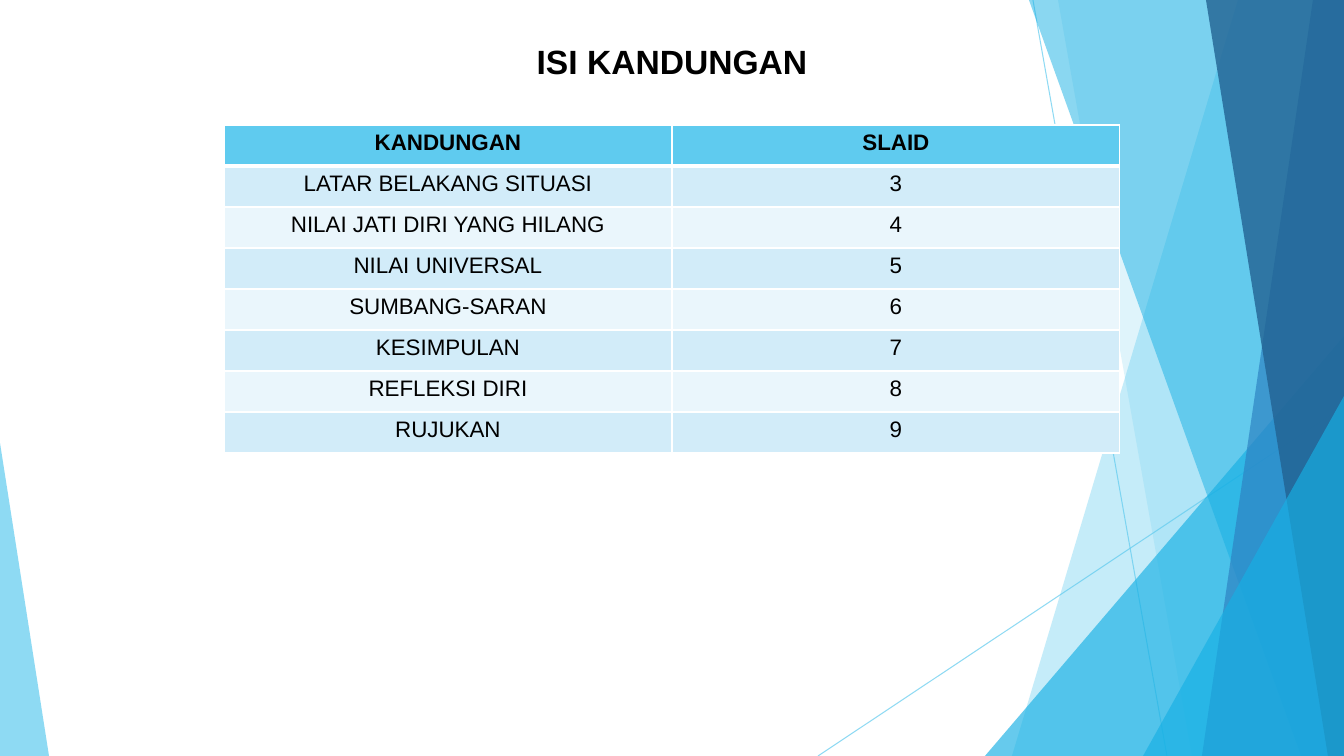
from lxml import etree
from pptx import Presentation
from pptx import util as u
from pptx.dml.color import RGBColor
from pptx.enum import shapes, text
from pptx.oxml import ns

WIDTH, HEIGHT = 1344, 756
PX = u.Inches(1) / 100.8
COLOURS = {
    "white": "FFFFFF", "black": "000000", "sky": "5FCBEF", "cyan": "17B0E4",
    "blue": "2E83C3", "navy": "226292", "band": "D2ECF9", "pale": "EAF6FC",
}


def px(length):
    return u.Emu(round(length * PX))


class Slide:
    """Holds the style and the current slide."""
    font = "Arial"

    def __init__(self, prs):
        self.slide = prs.slides.add_slide(prs.slide_layouts[6])
        self.shapes = self.slide.shapes

    def paint(self, fill, colour, opacity=100):
        fill.solid()
        fill.fore_color.rgb = RGBColor.from_string(COLOURS[colour])
        if opacity < 100:
            clr = fill._xPr.find(".//" + ns.qn("a:srgbClr"))
            etree.SubElement(clr, ns.qn("a:alpha"), val=str(opacity * 1000))

    def facet(self, shape, colour, opacity):
        shape.shadow.inherit = False
        shape.line.fill.background()
        self.paint(shape.fill, colour, opacity)

    def ray(self, x1, y1, x2, y2):
        ray = self.shapes.add_connector(
            shapes.MSO_CONNECTOR.STRAIGHT, px(x1), px(y1), px(x2), px(y2))
        ray.line.width = u.Pt(0.75)
        self.paint(ray.line.fill, "sky", 70)
        etree.SubElement(ray._element.spPr, ns.qn("a:effectLst"))

    def panel(self, top_x, bottom_x, colour, opacity):
        """Full-height panel along the right edge with a slanted left side."""
        outline = self.shapes.build_freeform(top_x, 0, scale=PX)
        outline.add_line_segments(
            [(WIDTH, 0), (WIDTH, HEIGHT), (bottom_x, HEIGHT)], close=True)
        self.facet(outline.convert_to_shape(), colour, opacity)

    def corner(self, left, top, width, apex, colour, opacity):
        """Triangle standing on the bottom edge."""
        corner = self.shapes.add_shape(
            shapes.MSO_SHAPE.ISOSCELES_TRIANGLE,
            px(left), px(top), px(width), px(HEIGHT - top))
        corner.adjustments[0] = apex
        self.facet(corner, colour, opacity)

    def label(self, frame, words, size, bold):
        frame.text = words
        paragraph = frame.paragraphs[0]
        paragraph.alignment = text.PP_ALIGN.CENTER
        font = paragraph.runs[0].font
        font.name, font.size, font.bold = self.font, u.Pt(size), bold
        font.color.rgb = RGBColor.from_string(COLOURS["black"])

    def title(self, words, left, top, width, height):
        title = self.shapes.add_textbox(px(left), px(top), px(width), px(height))
        title.text_frame.word_wrap = True
        self.label(title.text_frame, words, 24, True)

    def border(self, cell, side, points):
        line = etree.SubElement(cell._tc.get_or_add_tcPr(), ns.qn("a:ln" + side),
                                w=str(u.Pt(points)))
        fill = etree.SubElement(line, ns.qn("a:solidFill"))
        etree.SubElement(fill, ns.qn("a:srgbClr"), val=COLOURS["white"])

    def table(self, rows, left, top, column, row_height):
        count = len(rows[0])
        table = self.shapes.add_table(
            len(rows), count, px(left), px(top),
            px(column * count), px(row_height * len(rows))).table
        table.horz_banding = False
        for r, row in enumerate(rows):
            header = r == 0
            colour = "sky" if header else ("pale", "band")[r % 2]
            for c, words in enumerate(row):
                cell = table.cell(r, c)
                self.label(cell.text_frame, words, 16, header)
                # The rule below the header is the only thick one
                for side in "LRTB":
                    thick = (r, side) in ((0, "B"), (1, "T"))
                    self.border(cell, side, 3 if thick else 1)
                self.paint(cell.fill, colour)


def main():
    prs = Presentation()
    prs.slide_width, prs.slide_height = px(WIDTH), px(HEIGHT)
    contents = Slide(prs)

    # Faceted background, back to front
    contents.ray(1033, 0, 1167, HEIGHT)
    contents.ray(WIDTH, 406, 818, HEIGHT)
    contents.panel(1238, 1012, "sky", 36)
    contents.panel(1058, 1192, "sky", 20)
    contents.corner(985, 336, 359, 1, "cyan", 66)
    contents.panel(1029, 1301, "cyan", 50)
    contents.panel(1313, 1202, "blue", 70)
    contents.panel(1206, 1328, "navy", 80)
    contents.corner(1143, 396, 201, 1, "cyan", 66)
    contents.corner(0, 443, 49, 0, "sky", 70)

    # Title
    contents.title("ISI KANDUNGAN", 517, 36, 310, 50)

    # Table of contents, slides numbered from 3
    topics = ["LATAR BELAKANG SITUASI", "NILAI JATI DIRI YANG HILANG",
              "NILAI UNIVERSAL", "SUMBANG-SARAN", "KESIMPULAN",
              "REFLEKSI DIRI", "RUJUKAN"]
    rows = [("KANDUNGAN", "SLAID")]
    rows += [(topic, str(number)) for number, topic in enumerate(topics, 3)]
    contents.table(rows, 224, 125, 448, 41)

    prs.save("out.pptx")


if __name__ == "__main__":
    main()
